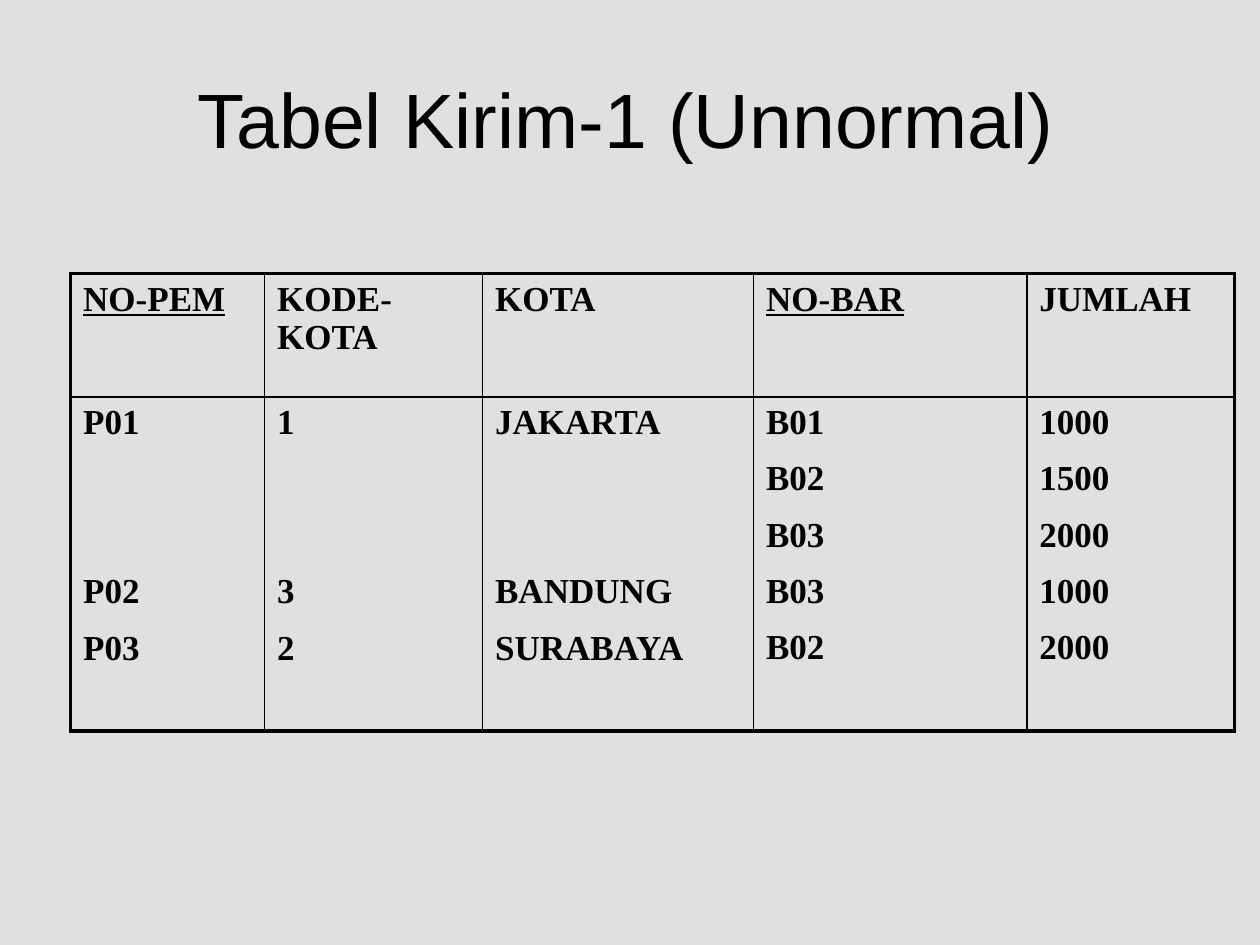
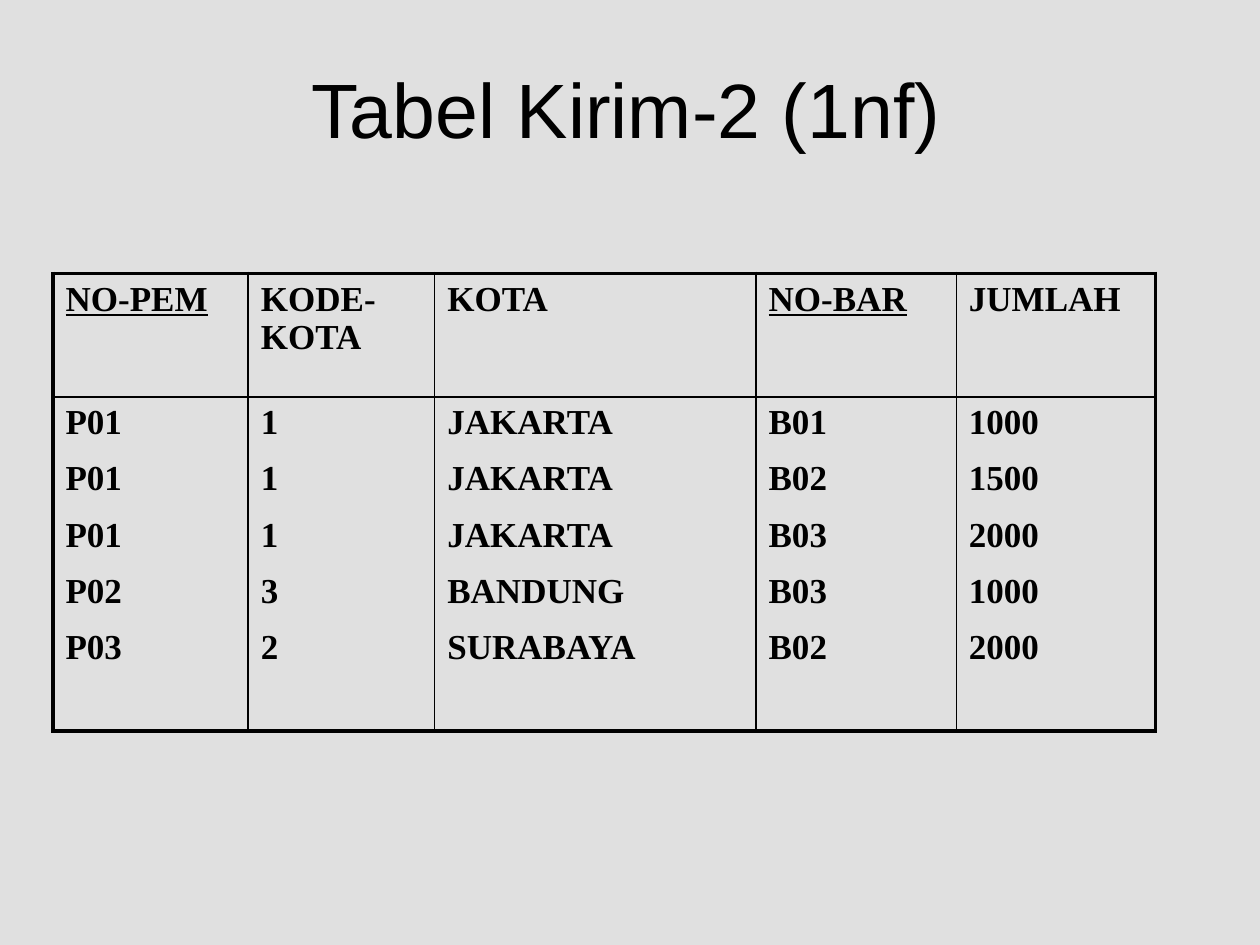
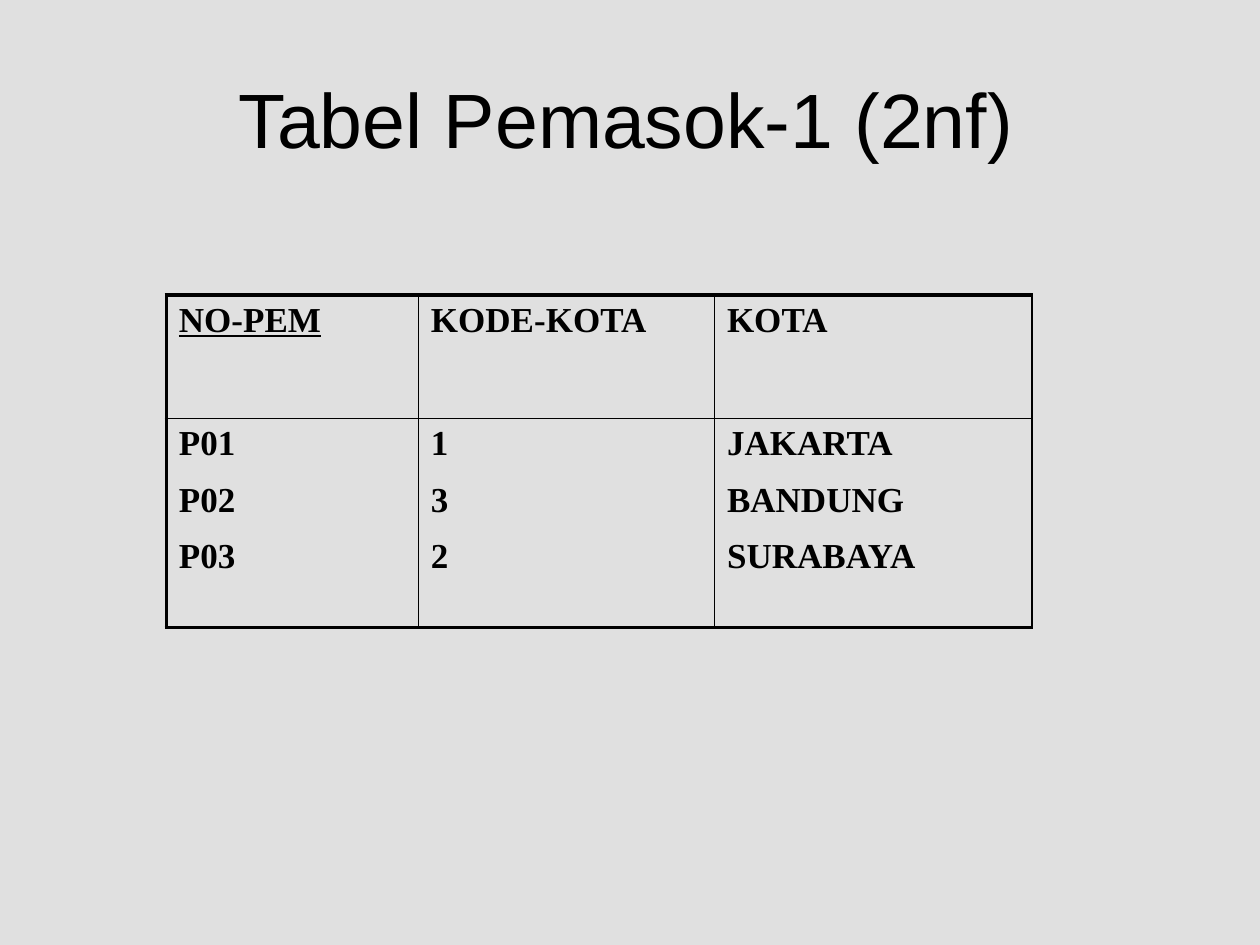
import dataclasses

import lxml.etree
import pptx
import pptx.dml.color
import pptx.enum.text
import pptx.oxml.ns
import pptx.util

Inches, Pt = pptx.util.Inches, pptx.util.Pt


@dataclasses.dataclass(frozen=True)
class Theme:
    background: str = "E0E0E0"
    ink: str = "000000"
    title_font: str = "Arial"
    title_size: float = 44
    table_font: str = "Times New Roman"
    table_size: float = 20
    para_space: float = 10      # points above every entry but the first
    line_pitch: float = 32.3    # points from one entry to the next
    thin: float = 1
    thick: float = 2.25


THEME = Theme()
KEYS = ("NO-PEM", "NO-BAR")     # key fields are underlined
HEADER_HEIGHT = 0.98

KIRIM_FIELDS = ["NO-PEM", "KODE-KOTA", "KOTA", "NO-BAR", "JUMLAH"]
KIRIM_1NF = [
    ["P01", "1", "JAKARTA", "B01", "1000"],
    ["P01", "1", "JAKARTA", "B02", "1500"],
    ["P01", "1", "JAKARTA", "B03", "2000"],
    ["P02", "3", "BANDUNG", "B03", "1000"],
    ["P03", "2", "SURABAYA", "B02", "2000"],
]
# The unnormalised table states each supplier only once
KIRIM_UNNORMAL = [
    ["", "", ""] + row[3:] if i and row[0] == KIRIM_1NF[i - 1][0] else row
    for i, row in enumerate(KIRIM_1NF)
]
PEMASOK_FIELDS = KIRIM_FIELDS[:3]
PEMASOK = [row[:3] for row in KIRIM_1NF[2:]]


def write(p, text, font, size, bold=False, underline=False, align=None, before=0):
    """Put formatted text in a paragraph."""
    r = p.add_run()
    r.text = text
    r.font.name, r.font.size = font, Pt(size)
    r.font.bold, r.font.underline = bold, underline
    r.font.color.rgb = pptx.dml.color.RGBColor.from_string(THEME.ink)
    p.alignment = align
    p.space_before = Pt(before)


def add_titled_slide(prs, title, top=0.31):
    slide = prs.slides.add_slide(prs.slide_layouts[5])
    sp = slide.shapes.title
    sp.left, sp.top, sp.width, sp.height = map(Inches, (0.47, top, 9, 1.25))
    tf = sp.text_frame
    tf.vertical_anchor = pptx.enum.text.MSO_ANCHOR.MIDDLE
    write(tf.paragraphs[0], title, THEME.title_font, THEME.title_size,
          align=pptx.enum.text.PP_ALIGN.CENTER)
    return slide


def set_borders(cell, **widths):
    """Draw the sides L, R, T, B at the given point widths; 0 hides a side."""
    tc_pr = cell._tc.get_or_add_tcPr()
    qn = pptx.oxml.ns.qn
    for side in "LRTB":
        width = widths.get(side, 0)
        ln = lxml.etree.SubElement(tc_pr, qn(f"a:ln{side}"), w=str(Pt(width)))
        if width:
            fill = lxml.etree.SubElement(ln, qn("a:solidFill"))
            lxml.etree.SubElement(fill, qn("a:srgbClr"), val=THEME.ink)
        else:
            lxml.etree.SubElement(ln, qn("a:noFill"))


def fill_cell(cell, entries):
    """Stack the entries; an empty one widens the space above the next."""
    tf = cell.text_frame
    before = 0
    for i, entry in enumerate(entries):
        if entry:
            p = tf.add_paragraph() if i else tf.paragraphs[0]
            write(p, entry, THEME.table_font, THEME.table_size, bold=True,
                  underline=entry in KEYS, before=before)
            before = THEME.para_space
        else:
            before += THEME.line_pitch


def add_data_table(slide, left, top, widths, body_height, fields, records,
                   closed=True):
    """Add a header row and one body row that stacks the records.

    Columns beyond the fields are blank and merged over both rows.
    """
    heights = (HEADER_HEIGHT, body_height)
    table = slide.shapes.add_table(
        2, len(widths), Inches(left), Inches(top),
        Inches(sum(widths)), Inches(sum(heights))).table
    table.first_row = table.horz_banding = False
    for row, height in zip(table.rows, heights):
        row.height = Inches(height)

    columns = list(zip(*records))
    last = len(fields) - 1
    for c, width in enumerate(widths):
        table.columns[c].width = Inches(width)
        for r in range(2):
            cell = table.cell(r, c)
            if c <= last:
                set_borders(
                    cell,
                    L=THEME.thin if c else THEME.thick,
                    R=THEME.thick if closed and c == last else THEME.thin,
                    T=THEME.thin if r else THEME.thick,
                    B=THEME.thick if r else THEME.thin)
                fill_cell(cell, columns[c] if r else [fields[c]])
            else:
                set_borders(cell, L=THEME.thin if c == last + 1 else 0)
            cell.fill.background()
        if c > last:
            table.cell(0, c).merge(table.cell(1, c))


def main():
    prs = pptx.Presentation()
    prs.slide_width, prs.slide_height = Inches(10), Inches(7.5)
    fill = prs.slide_master.background.fill
    fill.solid()
    fill.fore_color.rgb = pptx.dml.color.RGBColor.from_string(THEME.background)

    # Unnormalised shipments
    slide = add_titled_slide(prs, "Tabel Kirim-1 (Unnormal)")
    add_data_table(slide, 0.56, 2.17, [1.54, 1.73, 2.15, 2.17, 1.65], 2.65,
                   KIRIM_FIELDS, KIRIM_UNNORMAL)

    # First normal form
    slide = add_titled_slide(prs, "Tabel Kirim-2 (1nf)", top=0.23)
    add_data_table(slide, 0.42, 2.17, [1.55, 1.48, 2.55, 1.59, 1.58], 2.65,
                   KIRIM_FIELDS, KIRIM_1NF)

    # Second normal form
    slide = add_titled_slide(prs, "Tabel Pemasok-1 (2nf)")
    add_data_table(slide, 1.32, 2.34, [2, 2.35, 2.52, 0.79, 1.59], 1.66,
                   PEMASOK_FIELDS, PEMASOK, closed=False)

    prs.save("out.pptx")


if __name__ == "__main__":
    main()
